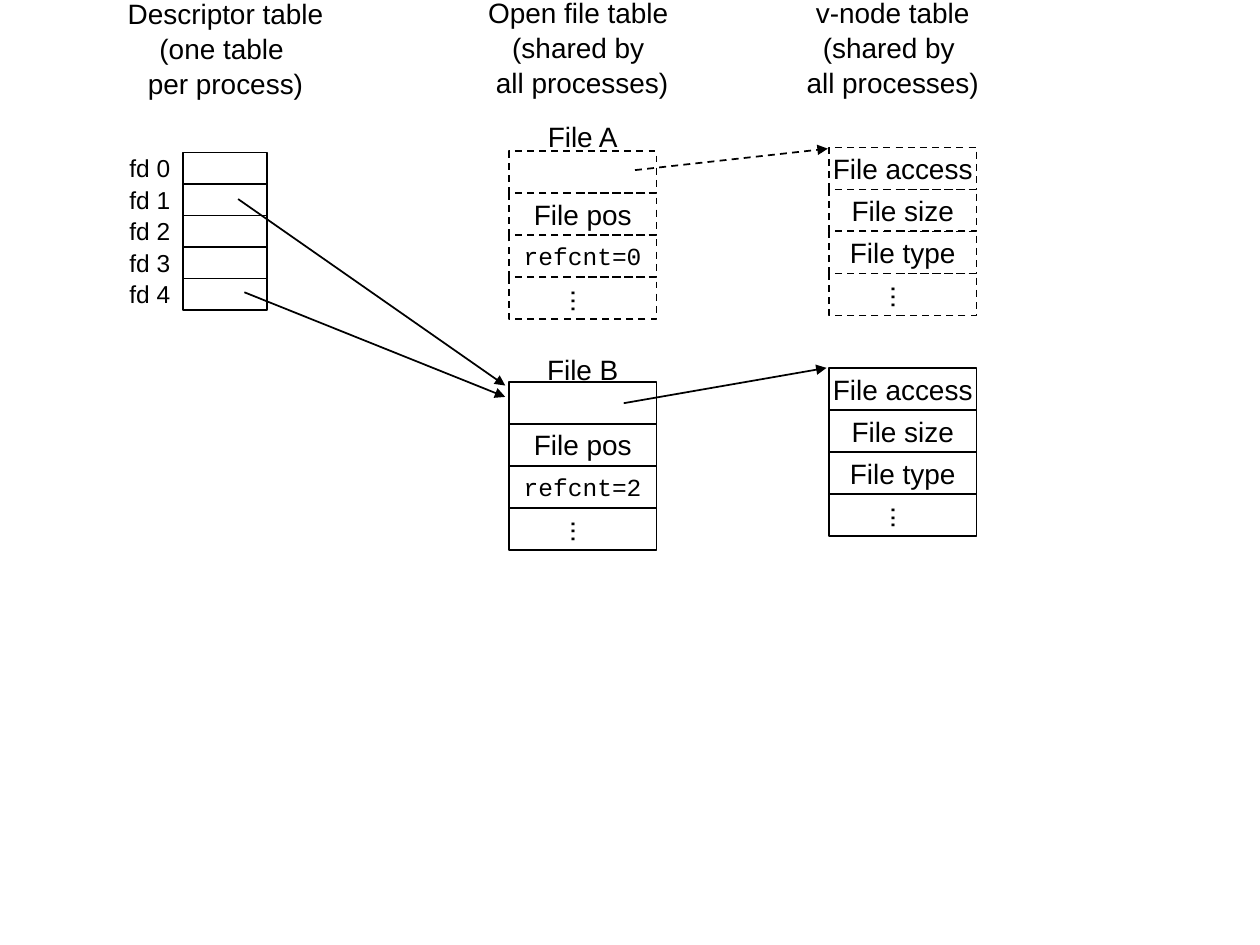
from lxml.etree import SubElement
from pptx import Presentation
from pptx.dml.color import RGBColor
from pptx.enum.dml import MSO_LINE
from pptx.enum.shapes import MSO_CONNECTOR, MSO_SHAPE
from pptx.enum.text import MSO_ANCHOR, MSO_AUTO_SIZE, PP_ALIGN
from pptx.oxml.ns import qn
from pptx.util import Inches, Pt

HEADS = [
    (0.91, -0.07, 1.76, ["Descriptor table", "(one table ", "per process)"]),
    (3.77, -0.08, 1.7, ["Open file table ", "(shared by ", "all processes)"]),
    (6.3, -0.08, 1.57, ["v-node table", "(shared by ", "all processes)"]),
]
FDS = ["fd 0", "fd 1", "fd 2", "fd 3", "fd 4"]
NODE = ["File access", "File size", "File type", "..."]
STACKS = [
    ("fd", 1.21, [""] * len(FDS), False),
    ("file", 1.2, ["", "File pos", "refcnt=0", "..."], True),
    ("file", 3.03, ["", "File pos", "refcnt=2", "..."], False),
    ("node", 1.17, NODE, True),
    ("node", 2.92, NODE, False),
]
NAMES = [("File A", 0.9), ("File B", 2.75)]
ARROWS = [
    ((1.89, 1.58), (4.01, 3.06), False),
    ((1.94, 2.32), (4.01, 3.15), False),
    ((4.95, 3.2), (6.56, 2.92), False),
    ((5.04, 1.35), (6.57, 1.18), True),
]
GRID = {
    "fd": (1.45, 0.67, 0.25),
    "file": (4.04, 1.17, 1 / 3),
    "node": (6.58, 1.17, 1 / 3),
}
THEME = {
    "ink": RGBColor(0, 0, 0),
    "sans": "Arial",
    "mono": "Courier New",
    "big": 16,
    "small": 14,
    "line": 1,
    "lead": 1.04,
}

deck = Presentation()
deck.slide_width, deck.slide_height = Inches(10), Inches(7.5)
slide = deck.slides.add_slide(deck.slide_layouts[6])


def write(shape, lines, size="big", font="sans", align=PP_ALIGN.CENTER,
          grow=False, lead=None):
    frame = shape.text_frame
    frame.word_wrap = False
    frame.vertical_anchor = MSO_ANCHOR.MIDDLE
    if grow:
        frame.auto_size = MSO_AUTO_SIZE.SHAPE_TO_FIT_TEXT
    frame.text = "\n".join(lines)
    for para in frame.paragraphs:
        para.alignment = align
        if lead:
            para.line_spacing = lead
        para.font.size = Pt(THEME[size])
        para.font.name = THEME[font]
        para.font.color.rgb = THEME["ink"]


def label(left, top, width, height, lines, **form):
    box = slide.shapes.add_textbox(*map(Inches, (left, top, width, height)))
    write(box, lines, **form)


def stroke(line, dash):
    line.color.rgb = THEME["ink"]
    line.width = Pt(THEME["line"])
    if dash:
        line.dash_style = MSO_LINE.DASH


def cell(left, top, width, height, text, dash):
    box = slide.shapes.add_shape(
        MSO_SHAPE.RECTANGLE, *map(Inches, (left, top, width, height)))
    box.shadow.inherit = False
    box.fill.background()
    stroke(box.line, dash)
    if text.startswith("refcnt"):
        write(box, [text], size="small", font="mono")
    elif text:
        write(box, [text])
    if text == "...":
        box.text_frame._txBody.bodyPr.set("vert", "eaVert")


def arrow(start, end, dash):
    link = slide.shapes.add_connector(
        MSO_CONNECTOR.STRAIGHT, *map(Inches, start + end))
    stroke(link.line, dash)
    SubElement(link.line._get_or_add_ln(), qn("a:tailEnd"), type="triangle")
    SubElement(link._element.spPr, qn("a:effectLst"))


for left, top, width, lines in HEADS:
    label(left, top, width, 0.9, lines, grow=True, lead=THEME["lead"])

for kind, top, texts, dash in STACKS:
    left, width, step = GRID[kind]
    for row, text in enumerate(texts):
        cell(left, top + row * step, width, step, text, dash)

left, width, step = GRID["fd"]
for row, text in enumerate(FDS):
    label(left - width, STACKS[0][1] + row * step, width, step, [text],
          size="small", align=PP_ALIGN.RIGHT)

left, width, step = GRID["file"]
for text, top in NAMES:
    label(left + (width - 0.77) / 2, top, 0.77, 0.37, [text], grow=True)

for start, end, dash in ARROWS:
    arrow(start, end, dash)

deck.save("out.pptx")
